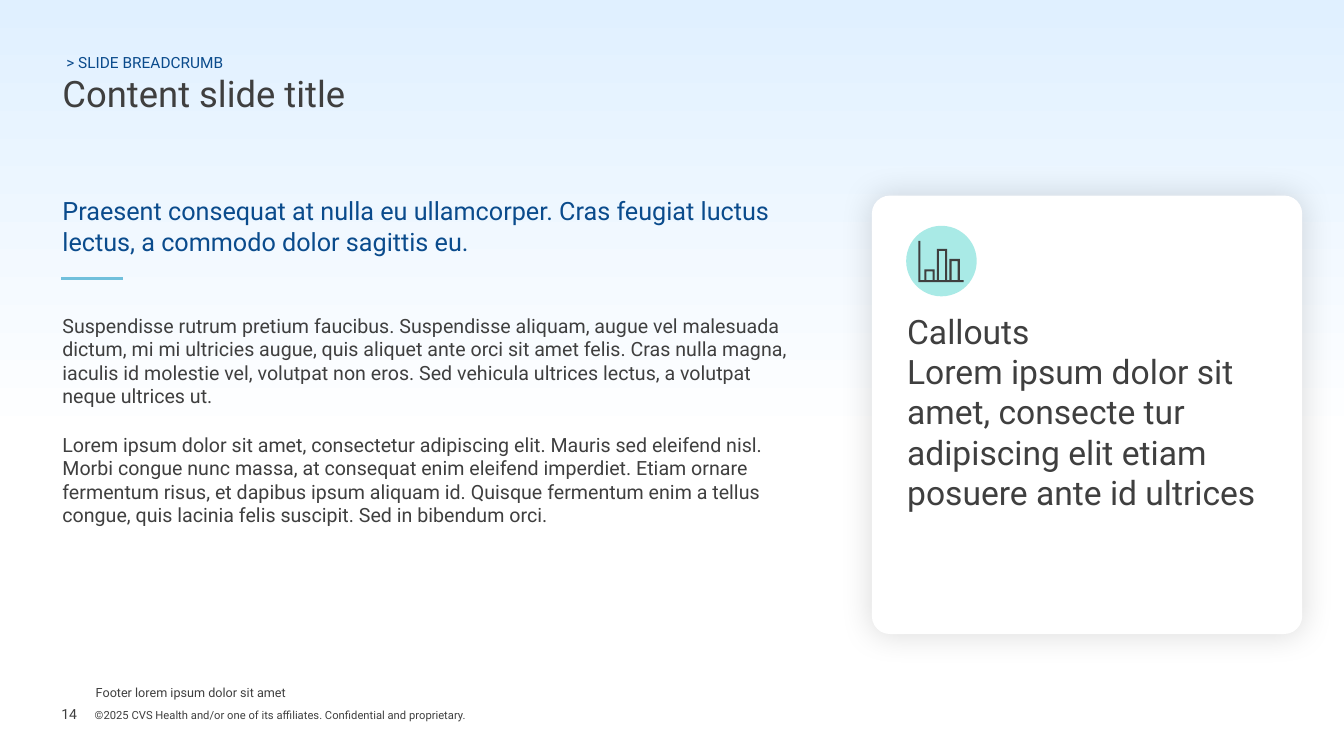
"""Build a content slide with a heading, body copy and a callout card."""
from dataclasses import dataclass

from lxml.etree import SubElement
from pptx import Presentation
from pptx.dml.color import RGBColor as Rgb
from pptx.enum.shapes import MSO_CONNECTOR as Connector, MSO_SHAPE as Shape
from pptx.enum.text import MSO_ANCHOR as Anchor, MSO_AUTO_SIZE as AutoSize, PP_ALIGN as Align
from pptx.oxml.ns import qn
from pptx.util import Pt

TITLE = "Content slide title"
BREADCRUMB = "> SLIDE BREADCRUMB"
HEADING = "Praesent consequat at nulla eu ullamcorper. Cras feugiat luctus lectus, a commodo dolor sagittis eu."
BODY = [
    "Suspendisse rutrum pretium faucibus. Suspendisse aliquam, augue vel malesuada dictum, mi mi ultricies "
    "augue, quis aliquet ante orci sit amet felis. Cras nulla magna, iaculis id molestie vel, volutpat non "
    "eros. Sed vehicula ultrices lectus, a volutpat neque ultrices ut.",
    "Lorem ipsum dolor sit amet, consectetur adipiscing elit. Mauris sed eleifend nisl. Morbi congue nunc "
    "massa, at consequat enim eleifend imperdiet. Etiam ornare fermentum risus, et dapibus ipsum aliquam id. "
    "Quisque fermentum enim a tellus congue, quis lacinia felis suscipit. Sed in bibendum orci.",
]
CALLOUT = [
    "Callouts",
    "Lorem ipsum dolor sit amet, consecte tur adipiscing elit etiam posuere ante id ultrices",
]
FOOTER = "Footer lorem ipsum dolor sit amet"
PAGE_NUMBER = "14"
COPYRIGHT = "©2025 CVS Health and/or one of its affiliates. Confidential and proprietary."


@dataclass(frozen=True)
class Theme:
    """Colours, typeface and type sizes."""
    font: str = "Roboto"
    ink: str = "3F3F3F"
    blue: str = "0A4B8C"
    sky: str = "E0F0FF"
    white: str = "FFFFFF"
    rule: str = "71C0DC"
    mint: str = "A9EAE6"
    shadow: str = "000000"
    title: int = 26
    callout: int = 24
    heading: int = 18
    body: int = 14
    crumb: int = 11
    number: int = 10
    footer: int = 9
    legal: int = 8


THEME = Theme()
WIDTH, HEIGHT = 960, 540
LEFT, TOP = 44.6, 139.7
PANEL_HEIGHT = 313.2
CARD_LEFT, CARD_WIDTH = 622.8, 307.4
CALLOUT_LEFT = 648
ICON_LEFT, ICON_TOP, ICON_RIGHT, ICON_BOTTOM = 656, 172, 688.4, 201.6
STROKE, BAR_WIDTH, BAR_STEP = 1.5, 7.4, 9
BAR_TOPS = [192.4, 177.8, 185]


def points(*values):
    """Convert numbers to point lengths."""
    return [Pt(value) for value in values]


def write(frame, lines, anchor=Anchor.TOP, inset=(0, 0), leading=None):
    """Fill a text frame with (text, size, colour, space before) lines."""
    frame.word_wrap = True
    frame.auto_size = AutoSize.NONE
    frame.vertical_anchor = anchor
    frame.margin_left = frame.margin_right = Pt(inset[0])
    frame.margin_top = frame.margin_bottom = Pt(inset[1])
    for index, (text, size, colour, before) in enumerate(lines):
        para = frame.add_paragraph() if index else frame.paragraphs[0]
        para.alignment = Align.LEFT
        para.space_before = Pt(before)
        if leading:
            para.line_spacing = leading
        span = para.add_run()
        span.text = text
        span.font.name = THEME.font
        span.font.size = Pt(size)
        span.font.color.rgb = Rgb.from_string(colour)


def add_text(page, at, lines, **options):
    """Add a text box."""
    write(page.shapes.add_textbox(*points(*at)).text_frame, lines, **options)


def paint(shape, colour):
    """Give a shape a flat fill without line or shadow."""
    shape.shadow.inherit = False
    shape.line.fill.background()
    shape.fill.solid()
    shape.fill.fore_color.rgb = Rgb.from_string(colour)


def add_band(page):
    """Lay the gradient band behind the title."""
    band = page.shapes.add_shape(Shape.RECTANGLE, *points(0, 0, WIDTH, 316.8))
    paint(band, THEME.white)
    band.fill.gradient()
    band.fill.gradient_angle = 270
    for stop, colour in zip(band.fill.gradient_stops, (THEME.sky, THEME.white)):
        stop.color.rgb = Rgb.from_string(colour)
    page.shapes.title.element.addprevious(band.element)


def add_card(page):
    """Add the rounded card with its soft shadow."""
    card = page.shapes.add_shape(
        Shape.ROUNDED_RECTANGLE, *points(CARD_LEFT, TOP, CARD_WIDTH, PANEL_HEIGHT))
    card.adjustments[0] = 0.042
    paint(card, THEME.white)
    effects = card.element.spPr.find(qn("a:effectLst"))
    shadow = SubElement(effects, qn("a:outerShdw"), blurRad=str(Pt(22.8)), dist="0", dir="0",
                        algn="ctr", rotWithShape="0")
    colour = SubElement(shadow, qn("a:srgbClr"), val=THEME.shadow)
    SubElement(colour, qn("a:alpha"), val="14000")


def rectangle(left, top, right, bottom):
    """Return the corners of a rectangle."""
    return [(left, top), (right, top), (right, bottom), (left, bottom)]


def add_icon(page):
    """Add the bar chart icon on its disc."""
    disc = page.shapes.add_shape(Shape.OVAL, *points(647.3, 161.3, 50.4, 50.4))
    paint(disc, THEME.mint)
    base, inner = ICON_BOTTOM - STROKE, ICON_LEFT + STROKE
    outlines = [[(ICON_LEFT, ICON_TOP), (inner, ICON_TOP), (inner, base), (ICON_RIGHT, base),
                 (ICON_RIGHT, ICON_BOTTOM), (ICON_LEFT, ICON_BOTTOM)]]
    for index, top in enumerate(BAR_TOPS):
        left = ICON_LEFT + 4.2 + index * BAR_STEP
        right = left + BAR_WIDTH
        outlines.append(rectangle(left, top, right, base))
        outlines.append(rectangle(left + STROKE, top + STROKE, right - STROKE, base))
    builder = page.shapes.build_freeform(*points(*outlines[0][0]), scale=1.0)
    for outline in outlines:
        start, *rest = [points(*corner) for corner in outline]
        builder.move_to(*start)
        builder.add_line_segments(rest, close=True)
    paint(builder.convert_to_shape(), THEME.ink)


def add_rule(page):
    """Add the short accent line under the heading."""
    rule = page.shapes.add_connector(Connector.STRAIGHT, *points(43.9, 198.7, 87.8, 198.7))
    rule.line.color.rgb = Rgb.from_string(THEME.rule)
    rule.line.width = Pt(2.25)
    SubElement(rule.element.spPr, qn("a:effectLst"))


def main():
    """Assemble and save the deck."""
    deck = Presentation()
    deck.slide_width, deck.slide_height = points(WIDTH, HEIGHT)
    page = deck.slides.add_slide(deck.slide_layouts[5])
    ink, blue = THEME.ink, THEME.blue

    add_band(page)
    title = page.shapes.title
    title.left, title.top, title.width, title.height = points(LEFT, 54, 761, 56.2)
    write(title.text_frame, [(TITLE, THEME.title, ink, 0)], leading=0.9)
    add_text(page, (40.3, 29.5, 229.7, 29.5), [(BREADCRUMB, THEME.crumb, blue, 0)],
             anchor=Anchor.MIDDLE, inset=(7.2, 3.6))

    copy_lines = [(HEADING, THEME.heading, blue, 0)]
    copy_lines += [(text, THEME.body, ink, gap) for text, gap in zip(BODY, (41, 18))]
    add_text(page, (LEFT, TOP, 523.4, PANEL_HEIGHT), copy_lines)
    add_rule(page)

    add_card(page)
    add_text(page, (CALLOUT_LEFT, 221.8, 256.3, 206.6),
             [(text, THEME.callout, ink, 0) for text in CALLOUT])
    add_icon(page)

    add_text(page, (68.4, 488.9, 676, 9.4), [(FOOTER, THEME.footer, ink, 0)])
    add_text(page, (43.9, 501.1, 28, 18), [(PAGE_NUMBER, THEME.number, ink, 0)],
             anchor=Anchor.MIDDLE, inset=(0, 3.6))
    add_text(page, (67.7, 506.2, 633.6, 9.4), [(COPYRIGHT, THEME.legal, ink, 0)],
             anchor=Anchor.BOTTOM)
    deck.save("out.pptx")


if __name__ == "__main__":
    main()
